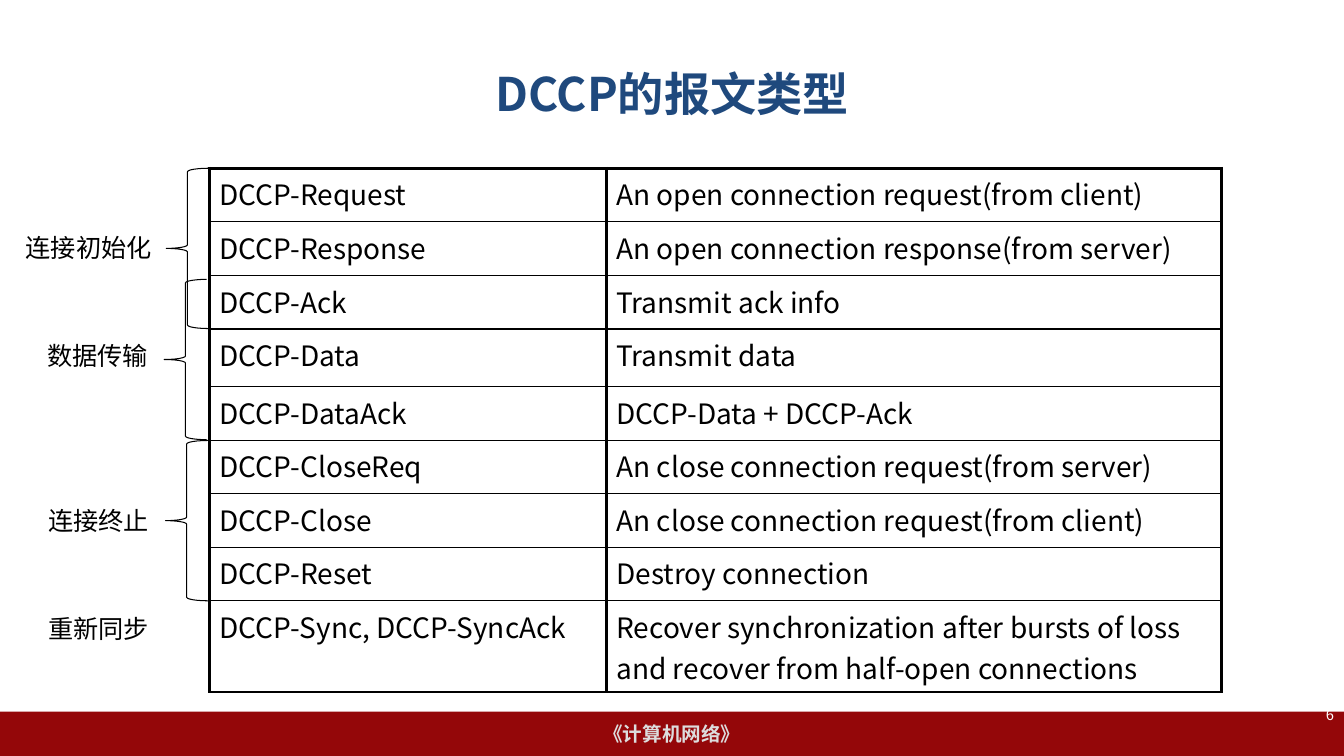
from lxml import etree
from pptx import Presentation
from pptx.dml.color import RGBColor
from pptx.enum.shapes import MSO_SHAPE
from pptx.enum.text import MSO_ANCHOR, PP_ALIGN
from pptx.oxml.ns import qn
from pptx.util import Cm, Pt

RECTANGLE, LEFT_BRACE = MSO_SHAPE.RECTANGLE, MSO_SHAPE.LEFT_BRACE
MIDDLE = MSO_ANCHOR.MIDDLE
LEFT, CENTER, RIGHT = PP_ALIGN.LEFT, PP_ALIGN.CENTER, PP_ALIGN.RIGHT

COLORS = {"title": "1F497D", "text": "000000", "footer": "940709",
          "footer_text": "DDDDDD", "page_number": "FFFFFF"}
CJK_FONT = "Noto Sans CJK SC"
SLIDE_W, SLIDE_H = 33.87, 19.05
THICK, THIN = 2.25, 1

MESSAGES = [
    ("DCCP-Request", "An open connection request(from client)"),
    ("DCCP-Response", "An open connection response(from server)"),
    ("DCCP-Ack", "Transmit ack info"),
    ("DCCP-Data", "Transmit data"),
    ("DCCP-DataAck", "DCCP-Data + DCCP-Ack"),
    ("DCCP-CloseReq", "An close connection request(from server)"),
    ("DCCP-Close", "An close connection request(from client)"),
    ("DCCP-Reset", "Destroy connection"),
    ("DCCP-Sync, DCCP-SyncAck",
     "Recover synchronization after bursts of loss and recover from half-open connections"),
]
COLUMN_WIDTHS = [10, 15.5]
ROW_HEIGHTS = [1.35] * 3 + [1.45] + [1.35] * 4 + [2.3]

# Phase name, label box (left, top, width), brace corner or None
PHASES = [
    ("连接初始化", (0, 5.72, 4.47), (4.19, 4.24)),
    ("数据传输", (0.23, 8.46, 4.47), (4.14, 7.04)),
    ("连接终止", (0.69, 12.6, 3.6), (4.17, 11.1)),
    ("重新同步", (0.13, 15.34, 4.72), None),
]
BRACE_W, BRACE_H = 1.07, 4.04
LABEL_H = 1.02


def rgb(name):
    return RGBColor.from_string(COLORS[name])


def write(frame, text, size, color, align=LEFT, bold=False, font=CJK_FONT):
    frame.text = text
    paragraph = frame.paragraphs[0]
    paragraph.alignment = align
    run_font = paragraph.runs[0].font
    run_font.name, run_font.size, run_font.bold = font, Pt(size), bold
    run_font.color.rgb = rgb(color)
    east_asian = etree.SubElement(paragraph.runs[0]._r.get_or_add_rPr(), qn("a:ea"))
    east_asian.set("typeface", CJK_FONT)


def add_text(slide, box, text, size, color, align, bold=False):
    frame = slide.shapes.add_textbox(*map(Cm, box)).text_frame
    frame.word_wrap = True
    write(frame, text, size, color, align, bold)
    return frame


def set_borders(cell, widths):
    properties = cell._tc.get_or_add_tcPr()
    for position, (side, width) in enumerate(zip(("lnL", "lnR", "lnT", "lnB"), widths)):
        line = etree.Element(qn("a:" + side), w=str(Pt(width)))
        fill = etree.SubElement(line, qn("a:solidFill"))
        etree.SubElement(fill, qn("a:srgbClr"), val=COLORS["text"])
        properties.insert(position, line)


def add_title(slide, box):
    frame = add_text(slide, box, "DCCP的报文类型", 33, "title", CENTER, bold=True)
    frame.vertical_anchor = MIDDLE


def add_footer(slide, box):
    band = slide.shapes.add_shape(RECTANGLE, *map(Cm, box))
    band.shadow.inherit = False
    band.fill.solid()
    band.fill.fore_color.rgb = rgb("footer")
    band.line.fill.background()
    band.text_frame.vertical_anchor = MIDDLE
    write(band.text_frame, "《计算机网络》", 14, "footer_text", CENTER, True, "Arial")

    # Page number hangs over the right end of the band
    left, top, width, _ = box
    number_w = 7.62
    add_text(slide, (left + width - number_w, top - 0.28, number_w, 1.02),
             "6", 10.5, "page_number", RIGHT)


def add_message_table(slide, left, top):
    table = slide.shapes.add_table(
        len(MESSAGES), len(COLUMN_WIDTHS), Cm(left), Cm(top),
        Cm(sum(COLUMN_WIDTHS)), Cm(sum(ROW_HEIGHTS))).table
    table.first_row = table.horz_banding = False
    for column, width in zip(table.columns, COLUMN_WIDTHS):
        column.width = Cm(width)
    last = len(MESSAGES) - 1
    for r, message in enumerate(MESSAGES):
        table.rows[r].height = Cm(ROW_HEIGHTS[r])
        for c, text in enumerate(message):
            cell = table.cell(r, c)
            cell.fill.background()
            write(cell.text_frame, text, 20, "text")
            set_borders(cell, (THICK, THICK, THICK if r == 0 else THIN,
                               THICK if r == last else THIN))


def add_phase(slide, name, label, brace_corner):
    if brace_corner:
        brace = slide.shapes.add_shape(
            LEFT_BRACE, *map(Cm, (*brace_corner, BRACE_W, BRACE_H)))
        brace.shadow.inherit = False
        brace.fill.background()
        brace.line.color.rgb = rgb("text")
        brace.line.width = Pt(0.75)
    add_text(slide, (*label, LABEL_H), name, 18, "text", CENTER)


def main():
    deck = Presentation()
    deck.slide_width, deck.slide_height = Cm(SLIDE_W), Cm(SLIDE_H)
    slide = deck.slides.add_slide(deck.slide_layouts[6])
    add_footer(slide, (0, 17.93, SLIDE_W, 1.12))
    add_title(slide, (1.7, 0.76, 30.48, 3.18))
    add_message_table(slide, 5.28, 4.24)
    for phase in PHASES:
        add_phase(slide, *phase)
    deck.save("out.pptx")


if __name__ == "__main__":
    main()
